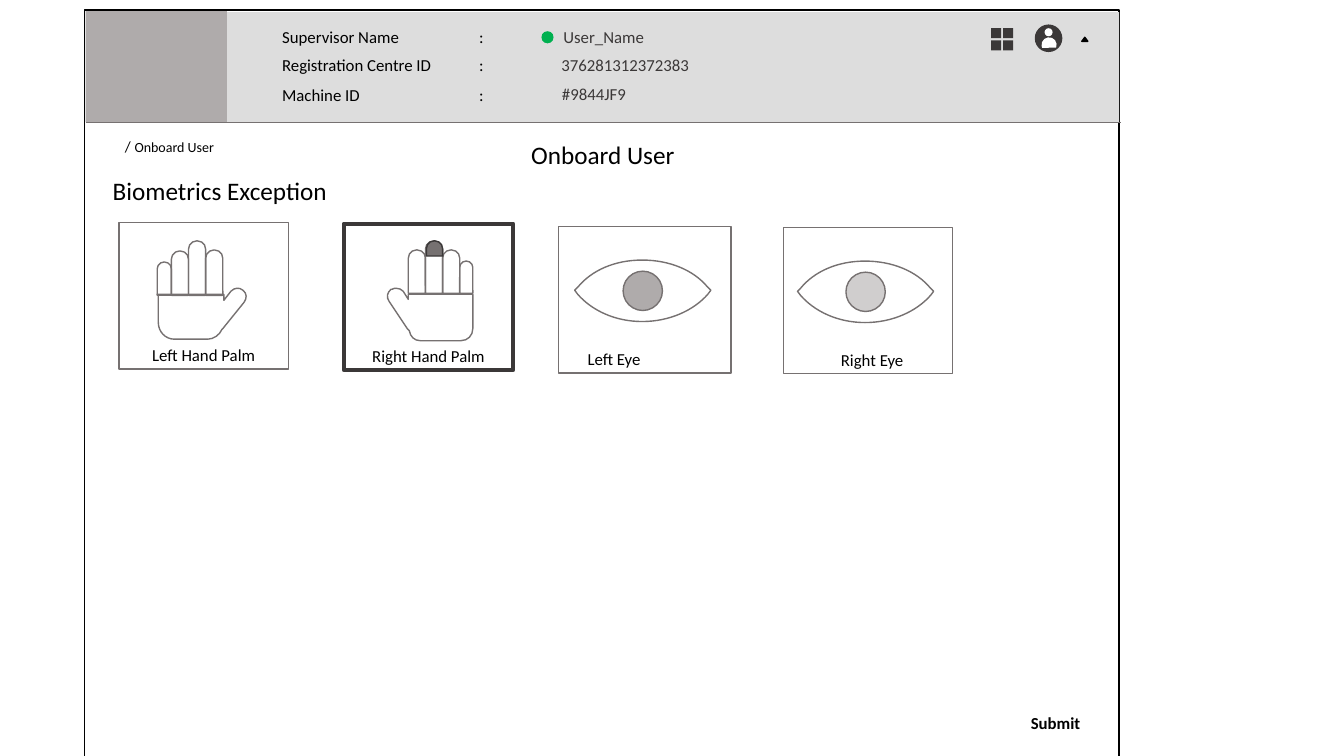
from dataclasses import dataclass
from lxml import etree
from pptx import Presentation, util as u
from pptx.dml.color import RGBColor
from pptx.enum import shapes as es, text as et
from pptx.oxml.ns import qn

S = es.MSO_SHAPE


@dataclass(frozen=True)
class Theme:
    """Colours, font and type sizes of the slide."""
    black: str = "000000"
    white: str = "FFFFFF"
    dark: str = "3B3838"
    grey: str = "767171"
    logo: str = "AFABAB"
    pale: str = "D0CECE"
    bar: str = "DDDDDD"
    green: str = "00B050"
    font: str = "Calibri"
    head: int = 18
    body: int = 12
    slash: int = 11
    crumb: int = 10


T = Theme()
WIDE, HIGH = u.Inches(13.33), u.Inches(7.5)
CELL = HIGH / 75

LEFT = (3.8, 7.2, [(1.4, 3.9), (1.7, 2.8), (1.7, 1.8), (1.7, 2.7)], [
    (11.7, 6.5), (11.9, 6.5, 12.1, 6.5, 12.3, 6.7), (12.7, 7, 12.7, 7.5, 12.4, 7.9),
    (10.3, 10.5), (10.2, 10.6), (10, 11.1, 9.4, 11.55, 8.8, 11.55), (5.5, 11.55),
    (4.6, 11.55, 3.9, 10.8, 3.9, 9.9), (3.9, 7.1), (10.4, 7.1), (10.4, 7.7),
    (11.1, 6.8), (11.3, 6.6, 11.5, 6.5, 11.7, 6.5)])
RIGHT = (6.4, 6.9, [(1.7, 2.6), (1.7, 1.7), (1.7, 2.6), (1.3, 3.7)], [
    (5.2, 6.4), (5.5, 6.4, 5.7, 6.5, 5.9, 6.7), (6.4, 7.5), (6.4, 7), (12.8, 7),
    (12.8, 10.4), (12.8, 11.1, 12.3, 11.6, 11.6, 11.6), (7.6, 11.6),
    (7, 11.6, 6.6, 11.2, 6.5, 10.6), (6.4, 10.5), (6.3, 10.4), (4.5, 7.7),
    (4.2, 7.3, 4.3, 6.8, 4.7, 6.5), (4.8, 6.5), (4.9, 6.4, 5.1, 6.4, 5.2, 6.4)])
EYE = [
    (6.7, 0), (9.4, 0, 11.8, 1, 13.2, 2.7), (13.5, 3), (13.2, 3.4),
    (11.8, 5, 9.4, 6.1, 6.7, 6.1), (4, 6.1, 1.7, 5, 0.3, 3.4), (0, 3),
    (0.3, 2.7), (1.7, 1, 4, 0, 6.7, 0)]


def emu(*cells):
    """Turn grid cells into whole lengths."""
    return [round(c * CELL) for c in cells]


def within(box, x, y, w, h):
    """Return a box offset from the corner of another box."""
    return box[0] + x, box[1] + y, w, h


def paint(shape, fill, line, width):
    """Set fill and line, and drop the shadow."""
    shape.shadow.inherit = False
    if fill:
        shape.fill.solid()
        shape.fill.fore_color.rgb = RGBColor.from_string(fill)
    else:
        shape.fill.background()
    if line:
        shape.line.color.rgb = RGBColor.from_string(line)
        shape.line.width = u.Pt(width)
    else:
        shape.line.fill.background()
    return shape


def draw(on, kind, box, fill=None, line=None, width=1):
    """Add a preset shape."""
    return paint(on.add_shape(kind, *emu(*box)), fill, line, width)


def trace(on, box, steps):
    """Add a closed outline of lines and cubic curves."""
    ends = [emu(box[0] + s[-2], box[1] + s[-1]) for s in steps]
    left, top = (min(axis) for axis in zip(*ends))
    pen = on.build_freeform(*ends[0])
    pen.add_line_segments(ends[1:], close=True)
    shape = pen.convert_to_shape()
    lines = list(shape._element.spPr.iter(qn("a:lnTo")))
    for line, step in zip(lines, steps[1:]):
        if len(step) == 6:
            line.tag = qn("a:cubicBezTo")
            line.clear()
            for x, y in zip(step[::2], step[1::2]):
                x, y = emu(box[0] + x, box[1] + y)
                etree.SubElement(line, qn("a:pt"), x=str(x - left), y=str(y - top))
    return paint(shape, None, T.grey, 1)


def write(on, box, words, size=T.body, color=T.black, wrap=True, mid=False, pad=False, bold=None):
    """Add a one-line text box and return its paragraph."""
    frame = on.add_textbox(*emu(*box)).text_frame
    frame.word_wrap = wrap
    frame.auto_size = et.MSO_AUTO_SIZE.SHAPE_TO_FIT_TEXT
    para = frame.paragraphs[0]
    if words:
        para.add_run().text = words
    para.font.name, para.font.size, para.font.bold = T.font, u.Pt(size), bold
    para.font.color.rgb = RGBColor.from_string(color)
    if mid:
        para.alignment = et.PP_ALIGN.CENTER
    if pad:
        para._p.get_or_add_pPr().set("marL", str(u.Inches(0.06)))
    return para


def stops(para):
    """Set tab stops one and two inches from the edge of the text."""
    props = para._p.get_or_add_pPr()
    tabs = etree.Element(qn("a:tabLst"))
    for i in (1, 2):
        etree.SubElement(tabs, qn("a:tab"), pos=str(u.Inches(i)), algn="l")
    props.find(qn("a:defRPr")).addprevious(tabs)


def header(on, box):
    """Draw the top bar with its details and icons."""
    draw(on, S.RECTANGLE, within(box, 0.1, 0.1, 102.4, 10.9), T.bar)
    draw(on, S.RECTANGLE, within(box, 0, 0, 14, 11), T.logo)
    x, y, w, h = box
    rule = on.add_connector(es.MSO_CONNECTOR.STRAIGHT, *emu(x, y + h, x + w, y + h))
    rule.line.color.rgb = RGBColor.from_string(T.grey)
    rule.line.width = u.Pt(0.5)
    etree.SubElement(rule._element.spPr, qn("a:effectLst"))
    rows = [("Supervisor Name\t:", "User_Name", 45.8, 16.8, 1.05, 1.05),
            ("Registration Centre ID\t:", "376281312372383", 45.6, 15.5, 3.85, 3.85),
            ("Machine ID\t\t:", "#9844JF9", 45.65, 9.1, 6.8, 6.7)]
    for name, value, left, wide, top, level in rows:
        stops(write(on, within(box, 17.9, top, 22.7, 3), name, wrap=False, pad=True))
        write(on, within(box, left, level, wide, 3), value, color=T.dark, wrap=wide > 16, pad=True)
    draw(on, S.OVAL, within(box, 45.2, 2, 1.2, 1.2), T.green)
    tiles(on.add_group_shape().shapes, within(box, 89.8, 1.7, 2.2, 2.2))
    avatar(on.add_group_shape().shapes, within(box, 94.2, 1.4, 2.6, 2.6))
    draw(on, S.ISOSCELES_TRIANGLE, within(box, 98.8, 2.6, 0.6, 0.4), T.black, T.black)


def tiles(on, box):
    """Draw the four-square menu icon."""
    for i in range(4):
        draw(on, S.RECTANGLE, within(box, i % 2 * 1.2, i // 2 * 1.2, 1, 1), T.dark)


def avatar(on, box):
    """Draw the round user icon."""
    draw(on, S.OVAL, box, T.dark, T.dark)
    draw(on, S.OVAL, within(box, 0.9, 0.3, 0.8, 0.8), T.white)
    draw(on, S.CHORD, within(box, 0.6, 1.2, 1.5, 1.5), T.white).rotation = 111.5


def hand(on, box, name, form, line, width):
    """Draw a card with a hand and its label."""
    left, base, fingers, palm = form
    for wide, top in fingers:
        tip = draw(on, S.ROUND_2_SAME_RECTANGLE, within(box, left, top, wide, base - top), None, T.grey)
        tip.adjustments[0], tip.adjustments[1] = 0.48, 0.03
        left += wide
    trace(on, box, palm)
    draw(on, S.FLOWCHART_PROCESS, box, None, line, width)
    write(on, within(box, 0, 11.6, 16.8, 3), name, mid=True)


def eye(on, box, name, shift, inset, iris, width):
    """Draw a card with an eye and its label."""
    draw(on, S.FLOWCHART_PROCESS, box, None, T.grey, width)
    write(on, within(box, shift, 11.6, 16.8, 3), name, mid=True)
    part = on.add_group_shape().shapes
    ball = within(box, inset, 3.3, 13.5, 6.1)
    trace(part, ball, EYE)
    draw(part, S.OVAL, within(ball, 4.8, 1.1, 3.9, 3.9), iris, T.grey)


def body(on, box):
    """Place headings, the four cards and the submit label."""
    write(on, within(box, 38.9, 12.3, 25, 4), "Onboard User", T.head, mid=True)
    crumb = write(on, within(box, 3, 12, 11, 3), "", wrap=False)
    for words, size in [("/", T.slash), (" ", T.body), ("Onboard User", T.crumb)]:
        run = crumb.add_run()
        run.text, run.font.size = words, u.Pt(size)
    write(on, within(box, 1.8, 15.9, 48.4, 4), "Biometrics Exception", T.head)
    hand(on.add_group_shape().shapes, within(box, 3.4, 21.1, 16.8, 14.5),
         "Left Hand Palm", LEFT, T.grey, 1)
    card = within(box, 25.7, 21.2, 16.8, 14.5)
    hand(on.add_group_shape().shapes, card, "Right Hand Palm", RIGHT, T.dark, 3)
    tip = draw(on, S.ROUND_2_SAME_RECTANGLE, within(card, 8.2, 1.7, 1.6, 1.5), T.grey, T.dark)
    tip.adjustments[0], tip.adjustments[1] = 0.5, 0
    eye(on, within(box, 47, 21.5, 17.1, 14.5), "Left Eye", -2.9, 1.6, T.logo, 1)
    eye(on, within(box, 69.3, 21.6, 16.8, 14.5), "Right Eye", 0.4, 1.4, T.pale, 0.75)
    write(on, within(box, 92.8, 69.2, 7, 3), "Submit", wrap=False, mid=True, bold=True)


def main():
    """Build and save the slide."""
    deck = Presentation()
    deck.slide_width, deck.slide_height = WIDE, HIGH
    on = deck.slides.add_slide(deck.slide_layouts[6]).shapes
    page = (8.4, 1, 102.6, 74.2)
    draw(on, S.RECTANGLE, page, None, T.black)
    header(on, within(page, 0.1, 0.1, 102.7, 11))
    body(on, page)
    deck.save("out.pptx")


if __name__ == "__main__":
    main()
